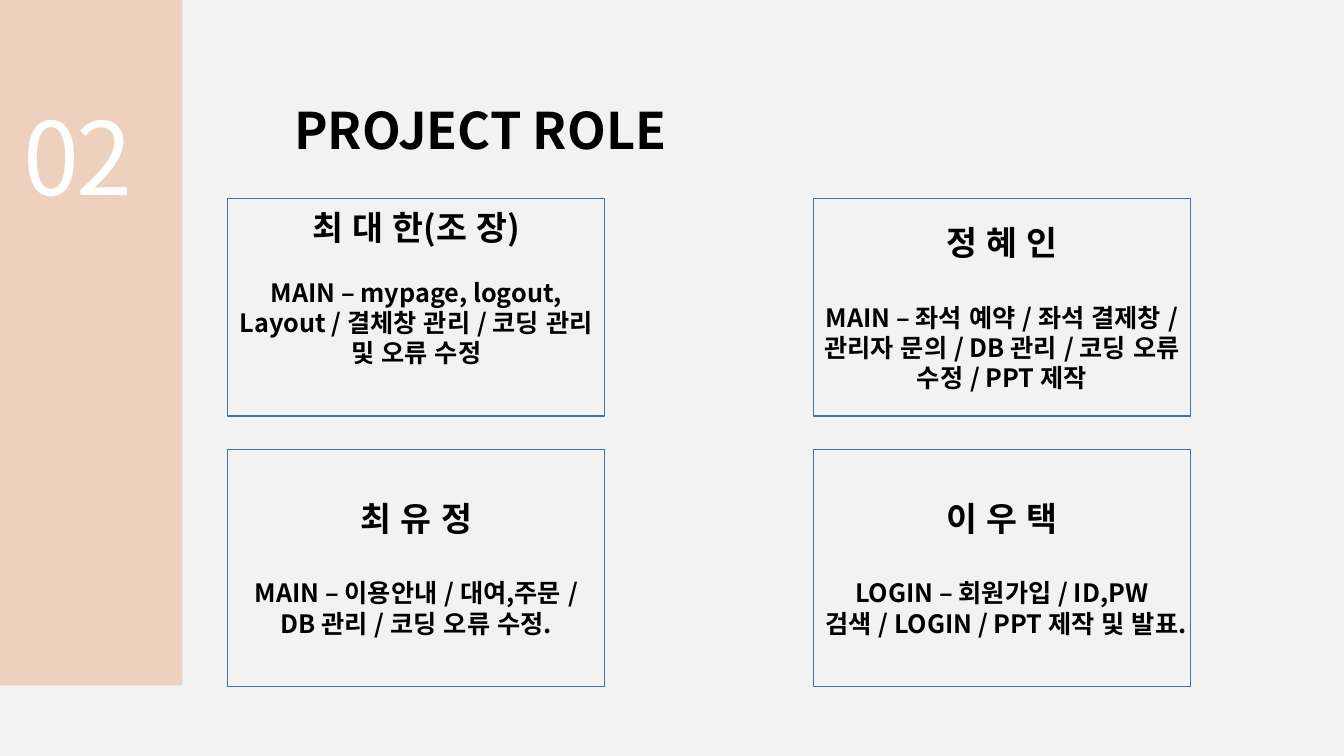
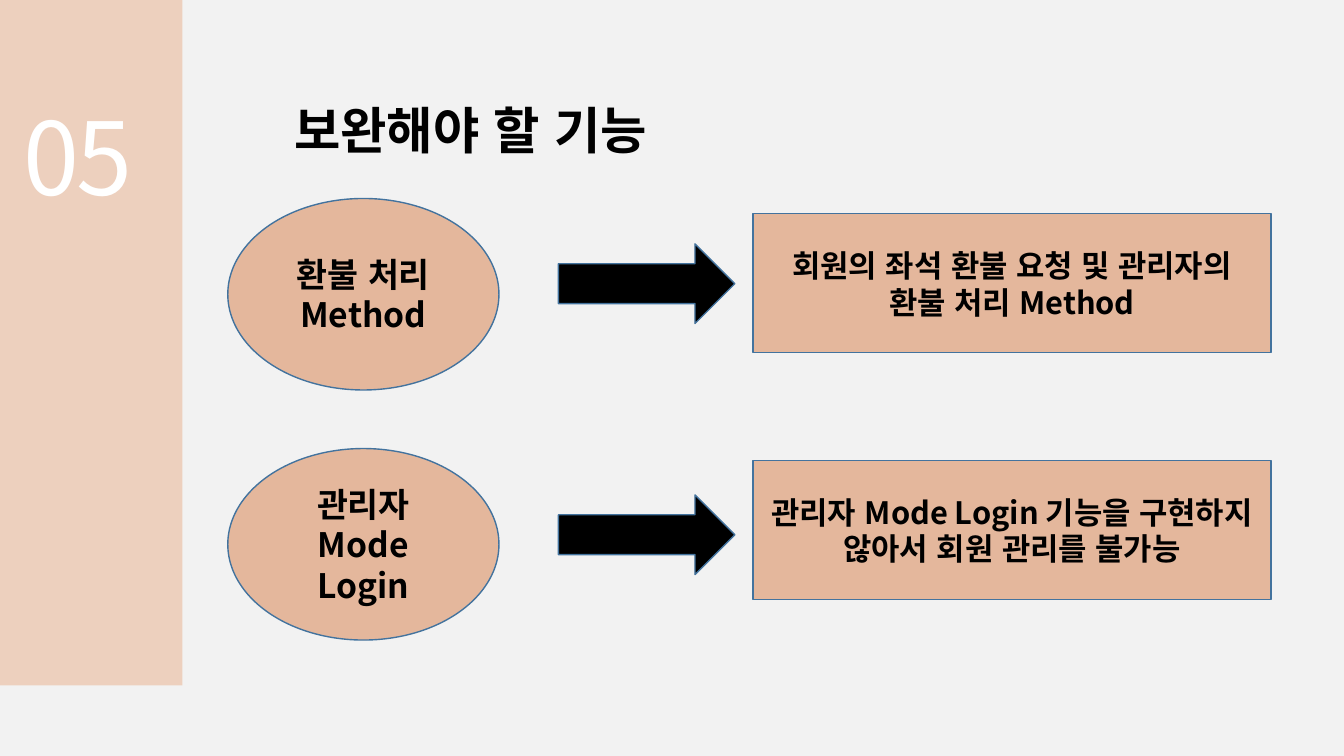
from dataclasses import dataclass

from lxml import etree
from pptx import Presentation
from pptx.dml.color import RGBColor
from pptx.enum.lang import MSO_LANGUAGE_ID
from pptx.enum.shapes import MSO_SHAPE
from pptx.enum.text import MSO_ANCHOR, MSO_AUTO_SIZE, PP_ALIGN
from pptx.oxml.ns import qn
from pptx.util import Pt

RECTANGLE = MSO_SHAPE.RECTANGLE
OVAL = MSO_SHAPE.OVAL
RIGHT_ARROW = MSO_SHAPE.RIGHT_ARROW
LEFT = PP_ALIGN.LEFT
CENTER = PP_ALIGN.CENTER
TOP = MSO_ANCHOR.TOP
MIDDLE = MSO_ANCHOR.MIDDLE
FIXED_SIZE = MSO_AUTO_SIZE.NONE
KOREAN = MSO_LANGUAGE_ID.KOREAN

FONT = "Noto Sans CJK KR"
COLORS = {
    "background": "F2F2F2",
    "band": "EDD0BE",
    "accent": "E4B79C",
    "outline": "43739E",
    "ink": "000000",
    "number": "FFFFFF",
}
TITLE_ONLY = 5
CONTENT_LEFT = 162.7
CONTENT_TOP = 141.8


@dataclass(frozen=True)
class Box:
    left: float
    top: float
    width: float
    height: float

    def lengths(self) -> tuple:
        return Pt(self.left), Pt(self.top), Pt(self.width), Pt(self.height)


@dataclass(frozen=True)
class Member:
    name: str
    role: str
    column: int
    row: int
    name_gap: float = 28.6
    bottom_inset: float = 3.6


@dataclass(frozen=True)
class Improvement:
    feature: str
    detail: str
    feature_top: float
    arrow_top: float
    detail_top: float


MEMBERS = (
    Member("최 대 한(조 장)",
           "MAIN – mypage, logout, Layout / 결체창 관리 / 코딩 관리 및 오류 수정",
           0, 0, name_gap=21.4, bottom_inset=32.2),
    Member("최 유 정", "MAIN – 이용안내 / 대여,주문 / DB 관리 / 코딩 오류 수정.", 0, 1),
    Member("정 혜 인",
           "MAIN – 좌석 예약 / 좌석 결제창 / 관리자 문의 / DB 관리 / 코딩 오류 수정 / PPT 제작",
           1, 0),
    Member("이 우 택",
           "LOGIN – 회원가입 / ID,PW 검색 / LOGIN / PPT 제작 및 발표.", 1, 1),
)
CARD_LEFTS = (CONTENT_LEFT, 581)
CARD_ROWS = ((CONTENT_TOP, 155.5), (321, 169.2))
CARD_WIDTH = 269.3

IMPROVEMENTS = (
    Improvement("환불 처리 Method", "회원의 좌석 환불 요청 및 관리자의 환불 처리 Method",
                CONTENT_TOP, 174.2, 152.6),
    Improvement("관리자 Mode Login",
                "관리자 Mode Login 기능을 구현하지 않아서 회원 관리를 불가능",
                320.4, 353.5, 329),
)


def rgb(color: str) -> RGBColor:
    return RGBColor.from_string(COLORS[color])


def write(frame, text: str, *, size: float, color: str = "ink", bold: bool = True,
          align=CENTER, anchor=MIDDLE, line_spacing: float = 1.0,
          space_after: float = 0, tracking: float = 0, append: bool = False) -> None:
    frame.word_wrap = True
    frame.auto_size = FIXED_SIZE
    frame.vertical_anchor = anchor
    paragraph = frame.add_paragraph() if append else frame.paragraphs[0]
    paragraph.alignment = align
    paragraph.line_spacing = line_spacing
    paragraph.space_after = Pt(space_after)
    run = paragraph.add_run()
    run.text = text
    font = run.font
    font.name, font.size, font.bold = FONT, Pt(size), bold
    font.color.rgb = rgb(color)
    font.language_id = KOREAN
    properties = run._r.get_or_add_rPr()
    etree.SubElement(properties, qn("a:ea")).set("typeface", FONT)
    if tracking:
        properties.set("spc", str(round(tracking * 100)))


def add_shape(slide, preset, box: Box, fill: str = "", outline: str = "outline"):
    shape = slide.shapes.add_shape(preset, *box.lengths())
    shape.shadow.inherit = False
    if fill:
        shape.fill.solid()
        shape.fill.fore_color.rgb = rgb(fill)
    else:
        shape.fill.background()
    if outline:
        shape.line.color.rgb = rgb(outline)
        shape.line.width = Pt(1)
    else:
        shape.line.fill.background()
    return shape


def add_section(deck, number: str, heading: str):
    slide = deck.slides.add_slide(deck.slide_layouts[TITLE_ONLY])
    add_shape(slide, RECTANGLE, Box(0, 0, 130.3, 489.6), "band", outline="")
    section_number = slide.shapes.add_textbox(*Box(9.4, 20.9, 110.9, 120.2).lengths())
    write(section_number.text_frame, number, size=72, color="number", bold=False,
          align=LEFT, anchor=TOP, line_spacing=1.5, tracking=-1.5)
    title = slide.shapes.title
    title.left, title.top, title.width, title.height = Box(203, 67, 435.6, 51.1).lengths()
    write(title.text_frame, heading, size=36, align=LEFT, anchor=TOP)
    return slide


def add_member(slide, member: Member) -> None:
    top, height = CARD_ROWS[member.row]
    card = add_shape(slide, RECTANGLE,
                     Box(CARD_LEFTS[member.column], top, CARD_WIDTH, height))
    frame = card.text_frame
    frame.margin_bottom = Pt(member.bottom_inset)
    write(frame, member.name, size=24, space_after=member.name_gap)
    write(frame, member.role, size=18, append=True)


def add_improvement(slide, item: Improvement) -> None:
    feature = add_shape(slide, OVAL,
                        Box(CONTENT_LEFT, item.feature_top, 193.7, 136.8), "accent")
    write(feature.text_frame, item.feature, size=24)
    add_shape(slide, RIGHT_ARROW, Box(398.9, item.arrow_top, 126, 56.9), "ink")
    detail = add_shape(slide, RECTANGLE,
                       Box(537.8, item.detail_top, 370.1, 99.4), "accent")
    write(detail.text_frame, item.detail, size=22)


def main() -> None:
    deck = Presentation()
    deck.slide_width, deck.slide_height = Pt(960), Pt(540)
    background = deck.slide_master.background.fill
    background.solid()
    background.fore_color.rgb = rgb("background")

    roles = add_section(deck, "02", "PROJECT ROLE")
    for member in MEMBERS:
        add_member(roles, member)

    improvements = add_section(deck, "05", "보완해야 할 기능")
    for item in IMPROVEMENTS:
        add_improvement(improvements, item)

    deck.save("out.pptx")


if __name__ == "__main__":
    main()
